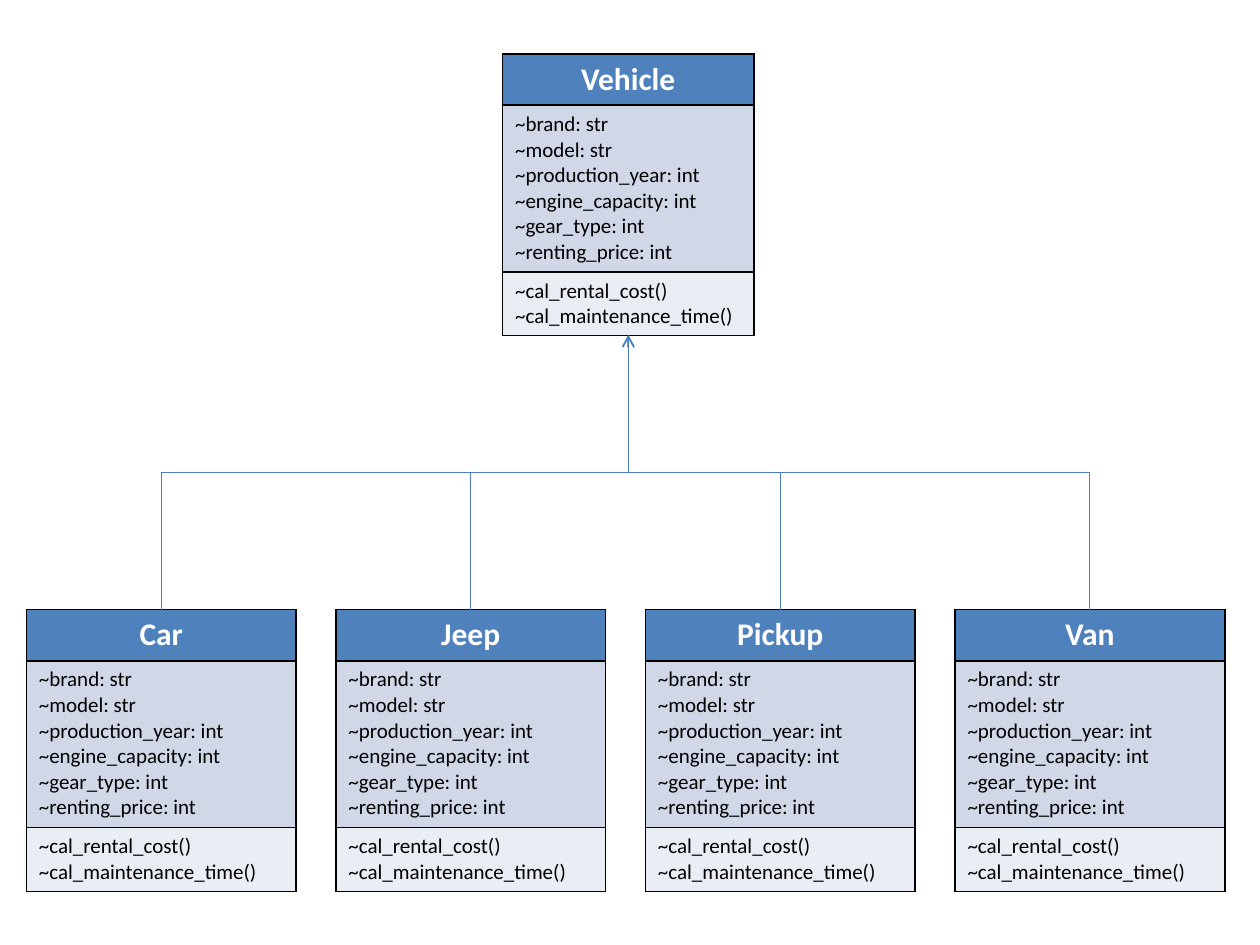
from dataclasses import dataclass

from lxml import etree
from pptx import Presentation, util as u
from pptx.dml.color import RGBColor
from pptx.enum import shapes, text
from pptx.oxml import parse_xml
from pptx.oxml.ns import nsdecls, qn


@dataclass(frozen=True)
class Theme:
    font: str = "Calibri"
    name_size: float = 18
    member_size: float = 12
    header: str = "4F81BD"
    attributes: str = "D0D8E8"
    methods: str = "E9EDF4"
    name_text: str = "FFFFFF"
    member_text: str = "000000"
    border: str = "000000"
    border_width: float = 1
    arrow: str = "4B7EBC"
    arrow_width: float = 0.75


@dataclass(frozen=True)
class Box:
    left: float
    top: float
    width: float

    @property
    def center(self):
        return self.left + self.width / 2

    @property
    def bottom(self):
        return self.top + sum(ROW_HEIGHTS)


THEME = Theme()
ROW_HEIGHTS = (1.03, 3.36, 1.28)
ATTRIBUTES = (
    "~brand: str",
    "~model: str",
    "~production_year: int",
    "~engine_capacity: int",
    "~gear_type: int",
    "~renting_price: int",
)
METHODS = ("~cal_rental_cost()", "~cal_maintenance_time()")
PARENT = "Vehicle"
CHILDREN = ("Car", "Jeep", "Pickup", "Van")
PARENT_BOX = Box(10.13, 1.09, 5.07)
FIRST_CHILD = Box(0.53, 12.29, 5.44)
CHILD_STEP = 6.24


def add_borders(cell):
    properties = cell._tc.get_or_add_tcPr()
    for position, side in enumerate("LRTB"):
        properties.insert(position, parse_xml(
            f'<a:ln{side} {nsdecls("a")} w="{u.Pt(THEME.border_width)}">'
            f'<a:solidFill><a:srgbClr val="{THEME.border}"/></a:solidFill>'
            f'</a:ln{side}>'))


def fill_compartment(cell, lines, fill, size, color, bold, align):
    cell.fill.solid()
    cell.fill.fore_color.rgb = RGBColor.from_string(fill)
    add_borders(cell)
    cell.text = "\n".join(lines)
    for paragraph in cell.text_frame.paragraphs:
        paragraph.alignment = align
        font = paragraph.font
        font.name, font.size, font.bold = THEME.font, u.Pt(size), bold
        font.color.rgb = RGBColor.from_string(color)


def add_class(slide, name, box):
    """Draw a class as name, attribute and method compartments."""
    table = slide.shapes.add_table(
        3, 1, u.Cm(box.left), u.Cm(box.top),
        u.Cm(box.width), u.Cm(sum(ROW_HEIGHTS))).table
    for row, height in zip(table.rows, ROW_HEIGHTS):
        row.height = u.Cm(height)
    member_style = (THEME.member_size, THEME.member_text, False, text.PP_ALIGN.LEFT)
    fill_compartment(table.cell(0, 0), [name], THEME.header,
                     THEME.name_size, THEME.name_text, True, text.PP_ALIGN.CENTER)
    fill_compartment(table.cell(1, 0), ATTRIBUTES, THEME.attributes, *member_style)
    fill_compartment(table.cell(2, 0), METHODS, THEME.methods, *member_style)


def add_inheritance(slide, child, parent):
    """Run an elbow arrow up from the child's top to the parent's bottom.

    An elbow leaves sideways, so it is laid out flat and turned a quarter.
    """
    rise = child.top - parent.bottom
    run = abs(parent.center - child.center)
    middle_x = (child.center + parent.center) / 2
    middle_y = (child.top + parent.bottom) / 2
    side = 1 if child.center < parent.center else -1
    arrow = slide.shapes.add_connector(
        shapes.MSO_CONNECTOR.ELBOW,
        u.Cm(middle_x + side * rise / 2), u.Cm(middle_y + run / 2),
        u.Cm(middle_x - side * rise / 2), u.Cm(middle_y - run / 2))
    arrow.line.color.rgb = RGBColor.from_string(THEME.arrow)
    arrow.line.width = u.Pt(THEME.arrow_width)
    properties = arrow._element.spPr
    quarter_turn = 90 if side == 1 else 270
    properties.find(qn("a:xfrm")).set("rot", str(quarter_turn * 60000))
    etree.SubElement(properties.find(qn("a:ln")), qn("a:tailEnd"), type="arrow")
    etree.SubElement(properties, qn("a:effectLst"))


def add_class_diagram(slide):
    child_boxes = [
        Box(FIRST_CHILD.left + i * CHILD_STEP, FIRST_CHILD.top, FIRST_CHILD.width)
        for i in range(len(CHILDREN))]
    add_class(slide, PARENT, PARENT_BOX)
    for name, box in zip(CHILDREN, child_boxes):
        add_class(slide, name, box)
    for box in child_boxes:
        add_inheritance(slide, box, PARENT_BOX)


def main():
    deck = Presentation()
    deck.slide_width, deck.slide_height = u.Cm(25.4), u.Cm(19.05)
    blank_layout = deck.slide_layouts[6]
    add_class_diagram(deck.slides.add_slide(blank_layout))
    deck.save("out.pptx")


if __name__ == "__main__":
    main()
